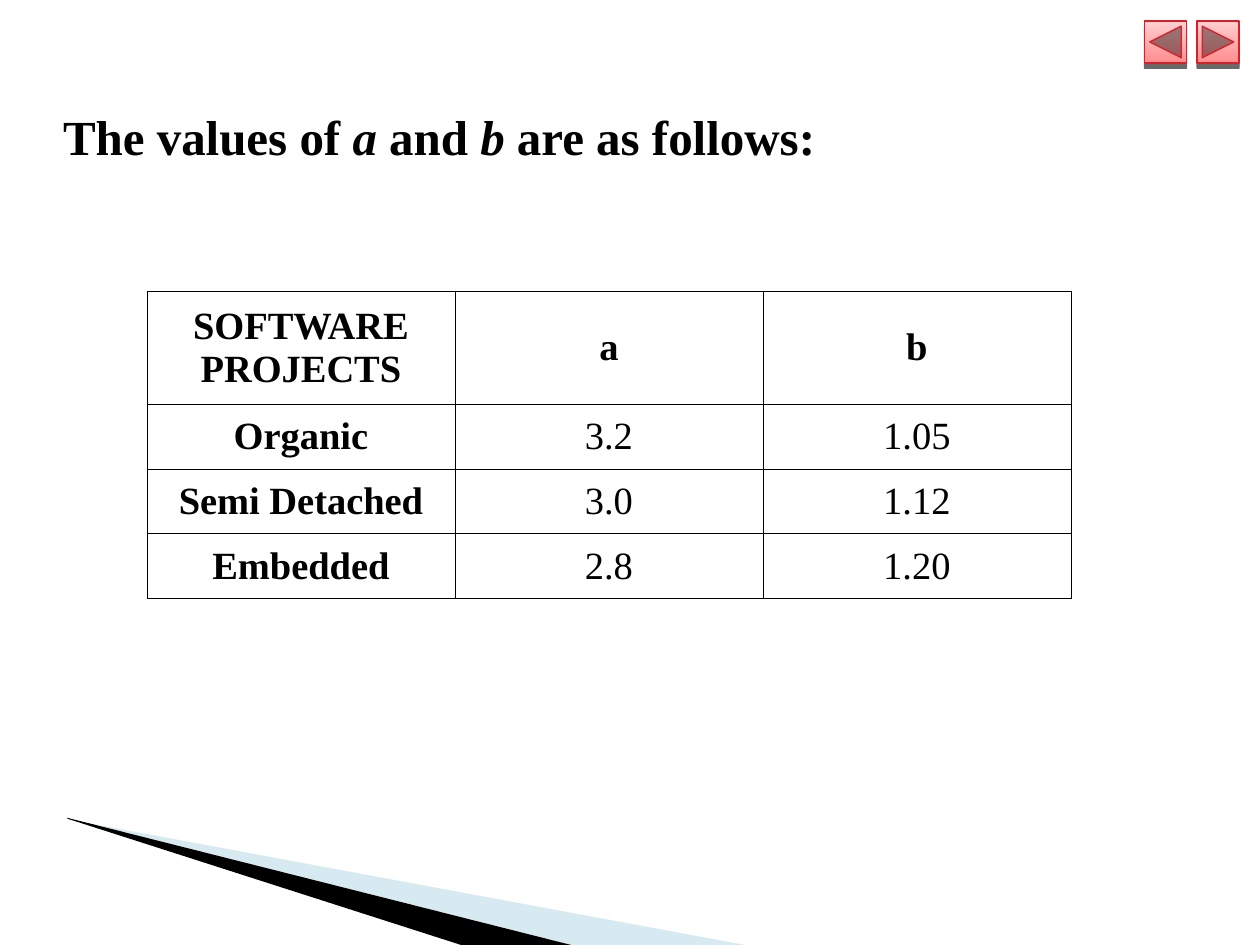
from lxml import etree
from pptx import Presentation
from pptx.dml.color import RGBColor
from pptx.enum.shapes import MSO_SHAPE as Shape
from pptx.enum.text import MSO_ANCHOR as Anchor, MSO_AUTO_SIZE as AutoSize, PP_ALIGN as Align
from pptx.oxml import parse_xml
from pptx.oxml.ns import nsdecls, qn
from pptx.util import Pt

BLACK = RGBColor(0x00, 0x00, 0x00)
WHITE = RGBColor(0xFF, 0xFF, 0xFF)
PALE_BLUE = RGBColor(0x9F, 0xCB, 0xDC)
RED = RGBColor(0xDA, 0x1F, 0x28)
ROSE = RGBColor(0xFF, 0x8D, 0x8F)
PALE_ROSE = RGBColor(0xFF, 0xD0, 0xD1)
FONT = "Times New Roman"

HEADING = [("The values of ", False), ("a", True), (" and ", False), ("b", True),
           (" are as follows:", False)]
COEFFICIENTS = [
    ("SOFTWARE PROJECTS", "a", "b"),
    ("Organic", "3.2", "1.05"),
    ("Semi Detached", "3.0", "1.12"),
    ("Embedded", "2.8", "1.20"),
]
# Outline points, colour and opacity in percent
WEDGES = [
    ([(39.6, 468.4), (428.4, 540.5), (328.3, 540.5), (39.6, 468)], PALE_BLUE, 40),
    ([(38.2, 467.3), (329, 540.7), (267.8, 541.4), (38.9, 468)], BLACK, 100),
]
BUTTONS = [Shape.ACTION_BUTTON_BACK_OR_PREVIOUS, Shape.ACTION_BUTTON_FORWARD_OR_NEXT]
BUTTON_LEFT, BUTTON_TOP, BUTTON_SIZE, BUTTON_STEP = 654, 12, 24, 30
TABLE_LEFT, TABLE_TOP, COLUMN_WIDTH = 84, 166.5, 176
HEADER_HEIGHT, ROW_HEIGHT = 64.5, 37


def style(target, **values):
    for name, value in values.items():
        setattr(target, name, value)


def add_wedge(slide, points, colour, opacity):
    builder = slide.shapes.build_freeform(*(Pt(v) for v in points[0]))
    builder.add_line_segments([(Pt(x), Pt(y)) for x, y in points[1:]])
    wedge = builder.convert_to_shape()
    wedge.shadow.inherit = False
    wedge.fill.solid()
    wedge.fill.fore_color.rgb = colour
    wedge.line.fill.background()
    if opacity < 100:
        rgb = wedge.fill._xPr.find(".//" + qn("a:srgbClr"))
        etree.SubElement(rgb, qn("a:alpha"), val=str(opacity * 1000))


def add_button(slide, kind, left):
    button = slide.shapes.add_shape(kind, Pt(left), Pt(BUTTON_TOP),
                                    Pt(BUTTON_SIZE), Pt(BUTTON_SIZE))
    button.fill.gradient()
    button.fill.gradient_angle = 90
    for stop, colour, position in zip(button.fill.gradient_stops, (ROSE, PALE_ROSE), (0, 1)):
        stop.color.rgb = colour
        stop.position = position
    button.line.color.rgb = RED
    button.line.width = Pt(0.75)
    button.shadow.inherit = False
    effects = button._element.spPr.find(qn("a:effectLst"))
    effects.append(parse_xml(
        f'<a:outerShdw {nsdecls("a")} blurRad="0" dist="{Pt(3)}" dir="5400000" rotWithShape="0">'
        '<a:srgbClr val="000000"><a:alpha val="58000"/></a:srgbClr></a:outerShdw>'))


def add_heading(slide):
    title = slide.shapes.title
    style(title, left=Pt(36), top=Pt(61), width=Pt(678), height=Pt(40.5))
    frame = title.text_frame
    style(frame, margin_left=0, margin_top=0, margin_right=0, margin_bottom=Pt(7.2),
          vertical_anchor=Anchor.MIDDLE, word_wrap=True, auto_size=AutoSize.NONE)
    paragraph = frame.paragraphs[0]
    paragraph.alignment = Align.LEFT
    for text, italic in HEADING:
        run = paragraph.add_run()
        run.text = text
        style(run.font, name=FONT, size=Pt(28), bold=True, italic=italic)
        run.font.color.rgb = BLACK


def add_borders(cell):
    properties = cell._tc.get_or_add_tcPr()
    for index, side in enumerate(("lnL", "lnR", "lnT", "lnB")):
        properties.insert(index, parse_xml(
            f'<a:{side} {nsdecls("a")} w="{Pt(0.45)}"><a:solidFill>'
            f'<a:srgbClr val="{BLACK}"/></a:solidFill></a:{side}>'))


def add_coefficients(slide):
    rows, columns = len(COEFFICIENTS), len(COEFFICIENTS[0])
    table = slide.shapes.add_table(
        rows, columns, Pt(TABLE_LEFT), Pt(TABLE_TOP), Pt(columns * COLUMN_WIDTH),
        Pt(HEADER_HEIGHT + (rows - 1) * ROW_HEIGHT)).table
    style(table, first_row=False, horz_banding=False)
    for column in table.columns:
        column.width = Pt(COLUMN_WIDTH)
    for r, values in enumerate(COEFFICIENTS):
        table.rows[r].height = Pt(ROW_HEIGHT if r else HEADER_HEIGHT)
        side_margin = Pt(10.8 if r else 5.76)
        for c, value in enumerate(values):
            cell = table.cell(r, c)
            cell.text = value
            style(cell, vertical_anchor=Anchor.MIDDLE, margin_left=side_margin,
                  margin_right=side_margin, margin_top=Pt(3.6), margin_bottom=Pt(3.6))
            cell.fill.solid()
            cell.fill.fore_color.rgb = WHITE
            add_borders(cell)
            paragraph = cell.text_frame.paragraphs[0]
            paragraph.alignment = Align.CENTER
            font = paragraph.runs[0].font
            style(font, name=FONT, size=Pt(22), bold=r == 0 or c == 0)
            font.color.rgb = BLACK


def main():
    deck = Presentation()
    style(deck, slide_width=Pt(720), slide_height=Pt(540))
    slide = deck.slides.add_slide(deck.slide_layouts[5])
    for wedge in WEDGES:
        add_wedge(slide, *wedge)
    for index, kind in enumerate(BUTTONS):
        add_button(slide, kind, BUTTON_LEFT + index * BUTTON_STEP)
    add_heading(slide)
    add_coefficients(slide)
    deck.save("out.pptx")


if __name__ == "__main__":
    main()
